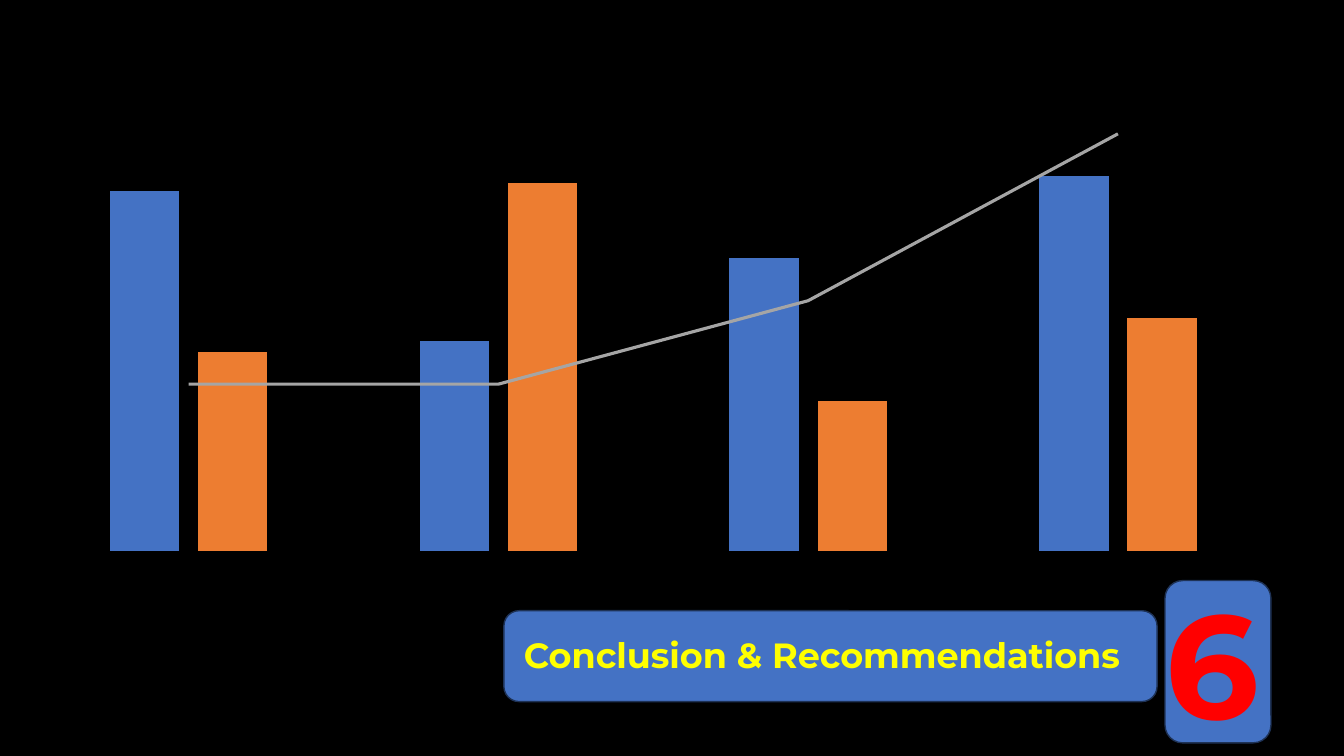
"""Builds the conclusion slide with its combined chart, title and section number."""
from copy import deepcopy
from dataclasses import dataclass

from pptx import Presentation
from pptx.chart.data import CategoryChartData
from pptx.dml.color import RGBColor
from pptx.enum.chart import XL_CHART_TYPE as ChartType, XL_MARKER_STYLE as Marker
from pptx.enum.chart import XL_TICK_LABEL_POSITION as LabelPosition, XL_TICK_MARK as TickMark
from pptx.enum.shapes import MSO_SHAPE as Preset
from pptx.oxml import parse_xml
from pptx.oxml.ns import nsdecls, qn
from pptx.slide import Slide
from pptx.util import Cm, Pt

BLACK = RGBColor(0x00, 0x00, 0x00)
BLUE = RGBColor(0x44, 0x72, 0xC4)
NAVY = RGBColor(0x1E, 0x32, 0x56)
ORANGE = RGBColor(0xED, 0x7D, 0x31)
GRAY = RGBColor(0xA5, 0xA5, 0xA5)
YELLOW = RGBColor(0xFF, 0xFF, 0x00)
RED = RGBColor(0xFF, 0x00, 0x00)

CATEGORIES = ["1", "2", "3", "4"]
SERIES = {
    "Series 1": [96, 56, 78, 100],
    "Series 2": [53, 98, 40, 62],
    "Series 3": [2, 2, 3, 5],
}
PLOT_LAYOUT = {"x": 0.005, "y": 0, "w": 0.975, "h": 0.948}


def write(box, text, size, color, font, bold=True):
    para = box.text_frame.paragraphs[0]
    span = para.add_run()
    span.text = text
    span.font.size = Pt(size)
    span.font.name = font
    span.font.bold = bold
    span.font.color.rgb = color


def place_plot(plot_area):
    for old_layout in plot_area.findall(qn("c:layout")):
        plot_area.remove(old_layout)
    modes = '<c:xMode val="edge"/><c:yMode val="edge"/>'
    sizes = "".join(f'<c:{key} val="{value}"/>' for key, value in PLOT_LAYOUT.items())
    plot_area.insert(0, parse_xml(
        f'<c:layout {nsdecls("c")}><c:manualLayout><c:layoutTarget val="inner"/>'
        f"{modes}{sizes}</c:manualLayout></c:layout>"))


def move_last_series_to_line(plot_area, top):
    bars = plot_area.find(qn("c:barChart"))
    series = bars.findall(qn("c:ser"))[-1]
    for flag in series.findall(qn("c:invertIfNegative")):
        series.remove(flag)
    line_plot = parse_xml(
        f'<c:lineChart {nsdecls("c")}><c:grouping val="standard"/><c:varyColors val="0"/>'
        '<c:marker val="1"/><c:axId val="5001"/><c:axId val="5002"/></c:lineChart>')
    line_plot.insert(2, series)
    bars.addnext(line_plot)

    category_axis = deepcopy(plot_area.find(qn("c:catAx")))
    value_axis = deepcopy(plot_area.find(qn("c:valAx")))
    for axis, own, other in ((category_axis, "5001", "5002"), (value_axis, "5002", "5001")):
        axis.find(qn("c:axId")).set("val", own)
        axis.find(qn("c:crossAx")).set("val", other)
        plot_area.findall(qn("c:valAx"))[-1].addnext(axis)
    value_axis.find(qn("c:delete")).set("val", "0")
    value_axis.find(qn("c:axPos")).set("val", "r")
    value_axis.find(qn("c:crosses")).set("val", "max")
    value_axis.find(qn("c:scaling")).find(qn("c:max")).set("val", str(top))


@dataclass
class SlidePainter:
    page: Slide
    title_font: str = "Montserrat"
    chart_font: str = "Calibri"

    def background(self, color):
        fill = self.page.background.fill
        fill.solid()
        fill.fore_color.rgb = color

    def panel(self, *place):
        panel = self.page.shapes.add_shape(Preset.ROUNDED_RECTANGLE, *map(Cm, place))
        panel.shadow.inherit = False
        panel.fill.solid()
        panel.fill.fore_color.rgb = BLUE
        panel.line.color.rgb = NAVY
        panel.line.width = Pt(1)

    def label(self, text, *place, size, color):
        box = self.page.shapes.add_textbox(*map(Cm, place))
        box.text_frame.word_wrap = True
        write(box, text, size=size, color=color, font=self.title_font)

    def combined_chart(self, *place):
        data = CategoryChartData()
        data.categories = CATEGORIES
        for name, values in SERIES.items():
            data.add_series(name, values)
        chart = self.page.shapes.add_chart(
            ChartType.COLUMN_CLUSTERED, *map(Cm, place), data).chart
        chart.has_title = False
        chart.has_legend = False
        chart.font.name = self.chart_font
        chart.font.size = Pt(10)
        chart.font.color.rgb = BLACK
        chart.category_axis.visible = False
        value_axis = chart.value_axis
        value_axis.visible = False
        value_axis.has_major_gridlines = False
        value_axis.major_tick_mark = TickMark.NONE
        value_axis.minor_tick_mark = TickMark.NONE
        value_axis.tick_label_position = LabelPosition.NONE
        value_axis.format.line.fill.background()
        value_axis.minimum_scale = 0
        value_axis.maximum_scale = 133.33

        plot_area = chart.element.xpath("c:chart/c:plotArea")[0]
        place_plot(plot_area)
        move_last_series_to_line(plot_area, top=6)

        columns, trend = chart.plots
        columns.vary_by_categories = False
        columns.gap_width = 219
        columns.overlap = -27
        for series, color in zip(columns.series, (BLUE, ORANGE)):
            series.format.fill.solid()
            series.format.fill.fore_color.rgb = color
        line = trend.series[0]
        line.smooth = False
        line.marker.style = Marker.NONE
        line.format.line.color.rgb = GRAY
        line.format.line.width = Pt(2.25)


def main():
    deck = Presentation()
    deck.slide_width, deck.slide_height = Cm(33.87), Cm(19.05)
    painter = SlidePainter(deck.slides.add_slide(deck.slide_layouts[6]))
    painter.background(BLACK)
    painter.panel(12.7, 15.39, 16.46, 2.29)
    painter.label("Conclusion & Recommendations", 12.95, 15.85, 16.21, 3.02,
                  size=25, color=YELLOW)
    painter.panel(29.36, 14.63, 2.67, 4.09)
    painter.label("6", 29.13, 14.3, 3.61, 4.75, size=105, color=RED)
    painter.combined_chart(0.69, 1.27, 32.03, 13.31)
    deck.save("out.pptx")


if __name__ == "__main__":
    main()
